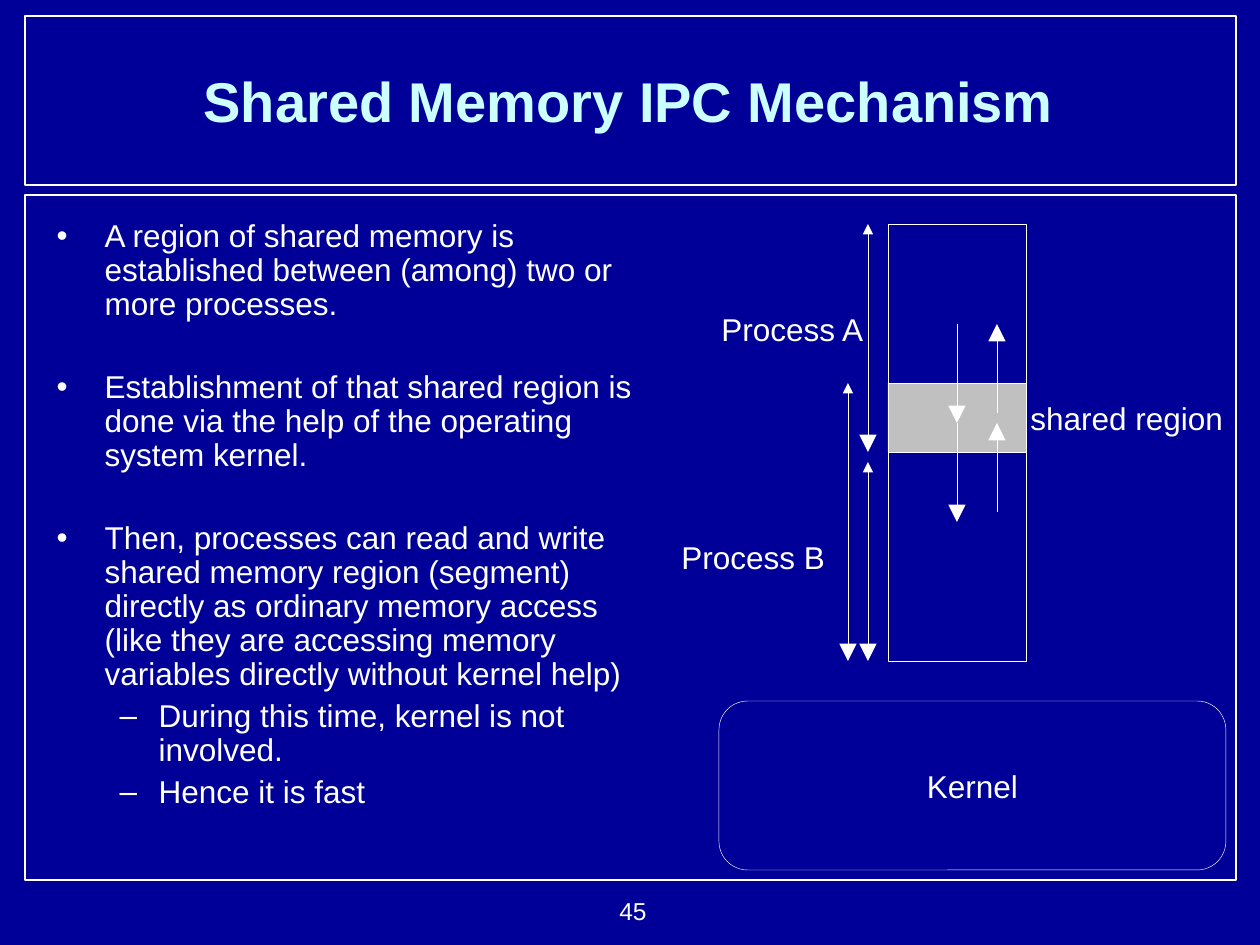
from dataclasses import dataclass

from lxml import etree
from pptx import Presentation
from pptx.dml.color import RGBColor
from pptx.enum.shapes import MSO_CONNECTOR, MSO_SHAPE
from pptx.enum.text import MSO_ANCHOR, MSO_AUTO_SIZE, PP_ALIGN
from pptx.oxml.ns import qn
from pptx.util import Pt

RECT, ROUNDED = MSO_SHAPE.RECTANGLE, MSO_SHAPE.ROUNDED_RECTANGLE
STRAIGHT = MSO_CONNECTOR.STRAIGHT
LEFT, CENTER, RIGHT = PP_ALIGN.LEFT, PP_ALIGN.CENTER, PP_ALIGN.RIGHT
TOP, MIDDLE = MSO_ANCHOR.TOP, MSO_ANCHOR.MIDDLE
NO_AUTOSIZE = MSO_AUTO_SIZE.NONE
PX_PER_INCH = 126


@dataclass(frozen=True)
class Theme:
    font: str = "Arial"
    background: RGBColor = RGBColor(0x00, 0x00, 0x99)
    ink: RGBColor = RGBColor(0xFF, 0xFF, 0xFF)
    heading: RGBColor = RGBColor(0xCC, 0xFF, 0xFF)
    shared: RGBColor = RGBColor(0xC0, 0xC0, 0xC0)
    title_size: int = 32
    text_size: int = 18
    number_size: int = 14
    frame_line: float = 0.75
    thin_line: float = 0.25


THEME = Theme()

# text, level, space before in points
POINTS = [
    ("A region of shared memory is established between (among) two or more processes.", 0, 0),
    ("Establishment of that shared region is done via the help of the operating "
     "system kernel.", 0, 28),
    ("Then, processes can read and write shared memory region (segment) directly as "
     "ordinary memory access (like they are accessing memory variables directly "
     "without kernel help)", 0, 28),
    ("During this time, kernel is not involved.", 1, 4.5),
    ("Hence it is fast", 1, 4.5),
]
# bullet, left margin, hanging indent for each level
BULLETS = [("•", 48, 48), ("–", 102, 39)]


def px(length):
    return round(length * 914400 / PX_PER_INCH)


def apply(target, values):
    for name, value in values.items():
        setattr(target, name, value)


def style_font(font, size, color=THEME.ink, bold=False):
    apply(font, {"name": THEME.font, "size": Pt(size), "bold": bold})
    font.color.rgb = color


def write(shape, text, size=THEME.text_size, align=LEFT, anchor=TOP, wrap=False):
    frame = shape.text_frame
    apply(frame, {"word_wrap": wrap, "vertical_anchor": anchor})
    paragraph = frame.paragraphs[0]
    paragraph.alignment = align
    run = paragraph.add_run()
    run.text = text
    style_font(run.font, size)


def add_block(slide, box, kind=RECT, fill=None, line=THEME.thin_line):
    block = slide.shapes.add_shape(kind, *map(px, box))
    block.shadow.inherit = False
    if fill is None:
        block.fill.background()
    else:
        block.fill.solid()
        block.fill.fore_color.rgb = fill
    block.line.color.rgb = THEME.ink
    block.line.width = Pt(line)
    return block


def add_label(slide, box, text, **style):
    write(slide.shapes.add_textbox(*map(px, box)), text, **style)


def add_arrow(slide, x, start, end, double=False):
    """Vertical arrow with a large tip and, if double, a medium one at its start."""
    arrow = slide.shapes.add_connector(STRAIGHT, px(x), px(start), px(x), px(end))
    arrow.line.color.rgb = THEME.ink
    arrow.line.width = Pt(THEME.thin_line)
    line = arrow.line._get_or_add_ln()
    tips = [("a:headEnd", "med")] if double else []
    for tag, size in tips + [("a:tailEnd", "lg")]:
        etree.SubElement(line, qn(tag), type="triangle", w=size, len=size)
    etree.SubElement(arrow._element.spPr, qn("a:effectLst"))


def place(placeholder, box, anchor):
    """Move a placeholder to its box and in front of what is already drawn."""
    left, top, width, height = map(px, box)
    apply(placeholder, {"left": left, "top": top, "width": width, "height": height})
    apply(placeholder.text_frame, {"word_wrap": True, "auto_size": NO_AUTOSIZE,
                                   "vertical_anchor": anchor})
    element = placeholder.element
    element.getparent().append(element)


def fill_title(slide, box):
    title = slide.shapes.title
    place(title, box, MIDDLE)
    title.text_frame.text = "Shared Memory IPC Mechanism"
    paragraph = title.text_frame.paragraphs[0]
    paragraph.alignment = CENTER
    style_font(paragraph.runs[0].font, THEME.title_size, THEME.heading, bold=True)


def add_bullet(paragraph, level):
    character, margin, hanging = BULLETS[level]
    properties = paragraph._p.get_or_add_pPr()
    properties.set("marL", str(px(margin)))
    properties.set("indent", str(-px(hanging)))
    color = etree.SubElement(properties, qn("a:buClr"))
    etree.SubElement(color, qn("a:srgbClr"), val=str(THEME.ink))
    etree.SubElement(properties, qn("a:buChar"), char=character)


def fill_body(slide, box):
    body = slide.placeholders[1]
    place(body, box, TOP)
    frame = body.text_frame
    for index, (text, level, gap) in enumerate(POINTS):
        paragraph = frame.add_paragraph() if index else frame.paragraphs[0]
        add_bullet(paragraph, level)
        apply(paragraph, {"level": level, "line_spacing": 0.9,
                          "space_before": Pt(gap), "alignment": LEFT})
        run = paragraph.add_run()
        run.text = text
        style_font(run.font, THEME.text_size)


def draw_memory(slide, box):
    """Address spaces of both processes, overlapping in the shared region."""
    left, top, _, height = box
    bottom = top + height
    column, column_width = left + 219, 138
    shared_top, shared_height = top + 159, 69
    shared_bottom = shared_top + shared_height
    middle = shared_top + 40
    reach = 99

    add_block(slide, (column, top, column_width, shared_bottom - top))
    add_block(slide, (column, shared_bottom, column_width, bottom - shared_bottom))
    add_block(slide, (column, shared_top, column_width, shared_height), fill=THEME.shared)

    for x, y, width, text in [(40, 80, 169, "Process A"), (0, 308, 169, "Process B"),
                              (349, 169, 218, "shared region")]:
        add_label(slide, (left + x, top + y, width, 50), text)

    outer, inner = column - 40, column - 20
    for x, start, end in [(inner, top, shared_bottom), (inner, shared_bottom + 10, bottom),
                          (outer, shared_top, bottom)]:
        add_arrow(slide, x, start, end, double=True)

    down, up = column + 69, column + 109
    for x, start, end in [(down, middle - reach, middle), (down, middle, middle + reach),
                          (up, middle + reach - 10, middle),
                          (up, middle - 10, middle - reach)]:
        add_arrow(slide, x, start, end)


def draw_kernel(slide, box):
    kernel = add_block(slide, box, ROUNDED)
    kernel.adjustments[0] = 0.17
    write(kernel, "Kernel", align=CENTER, anchor=MIDDLE)


def main():
    deck = Presentation()
    apply(deck, {"slide_width": px(1260), "slide_height": px(945)})
    slide = deck.slides.add_slide(deck.slide_layouts[1])
    slide.background.fill.solid()
    slide.background.fill.fore_color.rgb = THEME.background

    for top, height in [(16, 169), (195, 685)]:
        add_block(slide, (25, top, 1211, height), line=THEME.frame_line)
    add_label(slide, (528, 890, 131, 43), "45", size=THEME.number_size,
              align=RIGHT, wrap=True)
    fill_title(slide, (44, 21, 1170, 158))
    fill_body(slide, (44, 214, 625, 645))
    draw_memory(slide, (669, 224, 567, 437))
    draw_kernel(slide, (719, 701, 507, 169))
    deck.save("out.pptx")


if __name__ == "__main__":
    main()
